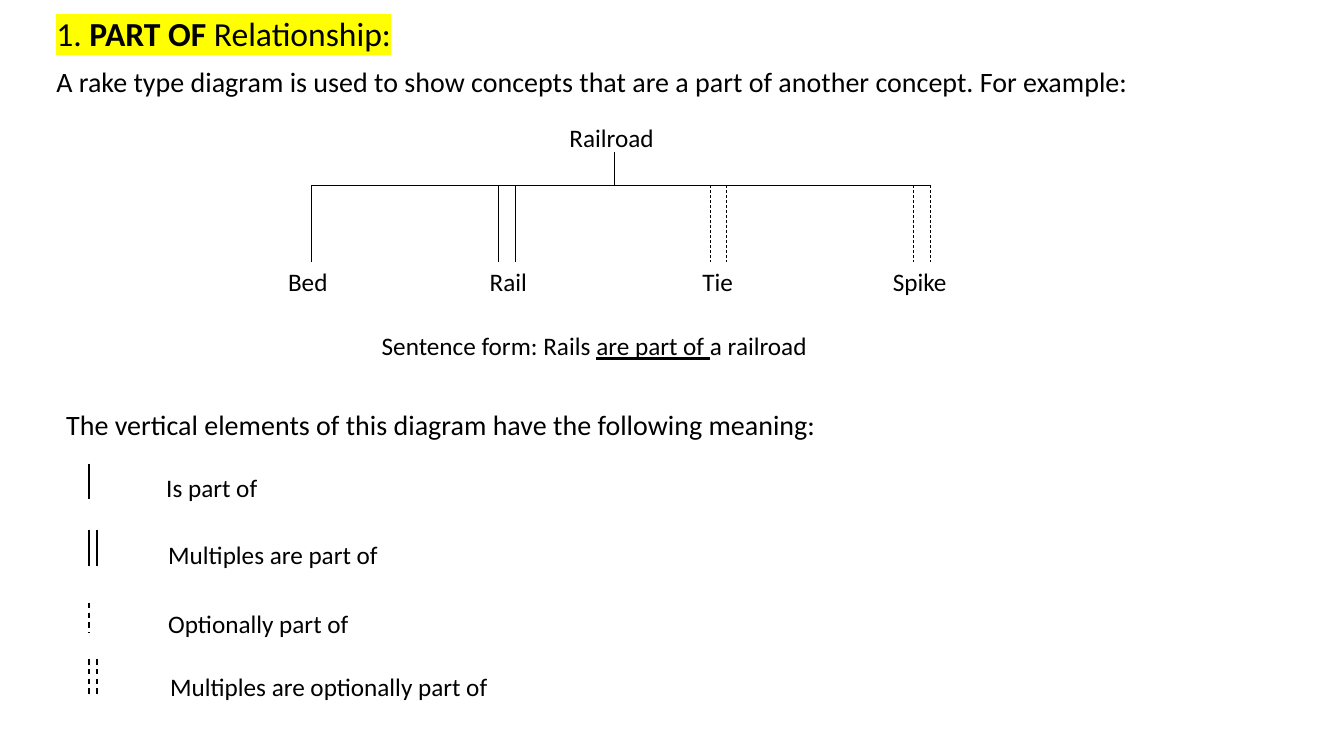
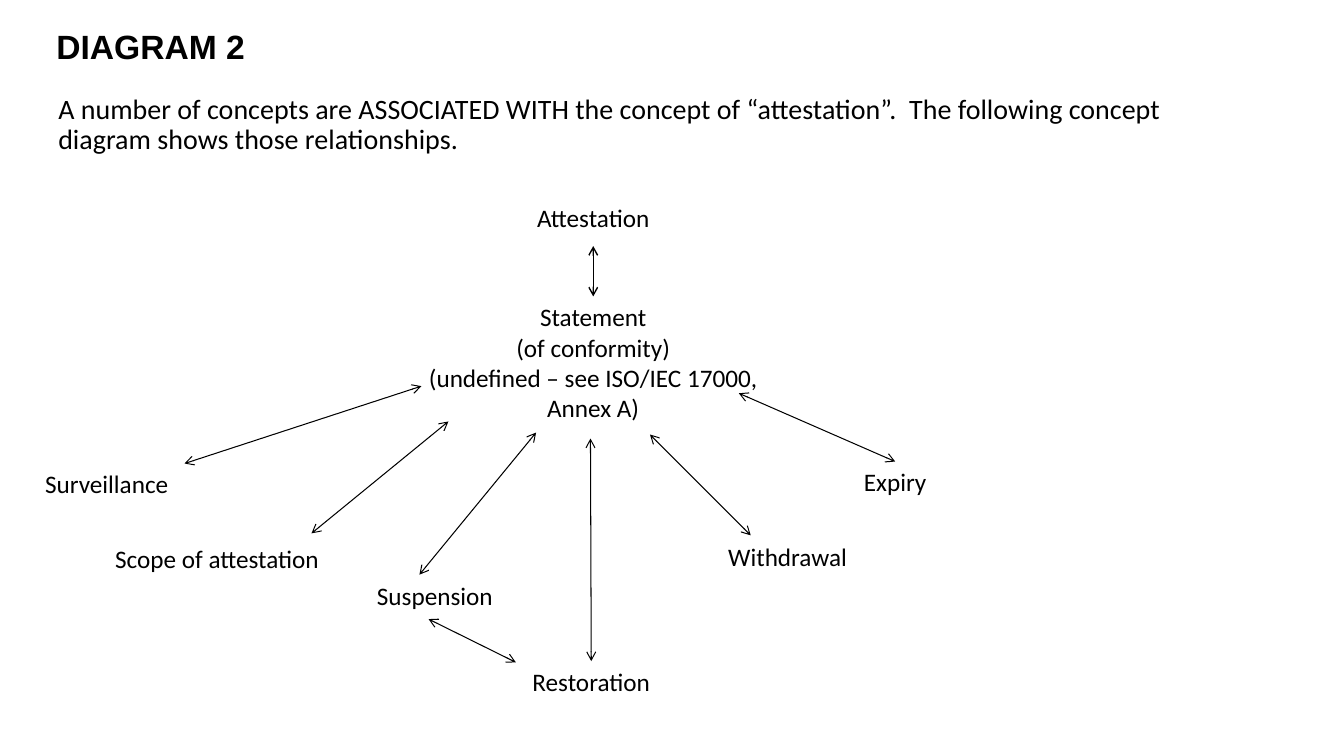
from lxml import etree
from pptx import Presentation
from pptx.dml.color import RGBColor
from pptx.enum import dml, shapes, text
from pptx.oxml.ns import qn
from pptx.util import Cm, Pt

BLACK = RGBColor(0x00, 0x00, 0x00)
YELLOW = RGBColor(0xFF, 0xFF, 0x00)
BODY_FONT = "Calibri"
HEADING_SIZE, INTRO_SIZE, LABEL_SIZE = 24, 20, 18
LABEL_HEIGHT = 1.02
LEFT, CENTER = text.PP_ALIGN.LEFT, text.PP_ALIGN.CENTER

# label, label left, tine positions, dashed
TINES = [
    ("Bed", -0.84, [0], False),
    ("Rail", 4.24, [4.7, 5.13], False),
    ("Tie", 9.6, [10.05, 10.46], True),
    ("Spike", 14.4, [15.16, 15.59], True),
]
# label, label left, label top, stroke top, stroke height, strokes, dashed
LEGEND = [
    ("Is part of", 2.52, 1.63, 1.55, 0.89, 1, False),
    ("Multiples are part of", 2.57, 3.33, 3.23, 0.89, 2, False),
    ("Optionally part of", 2.57, 5.06, 5.06, 0.76, 1, True),
    ("Multiples are optionally part of", 2.62, 6.66, 6.48, 0.94, 2, True),
]
# concept: centre, top, width
CONCEPTS = {
    "Attestation": (14.55, 0, 4.5),
    "Expiry": (22.16, 6.65, 4.5),
    "Withdrawal": (19.45, 8.53, 4.5),
    "Restoration": (14.5, 11.68, 4.5),
    "Suspension": (10.56, 9.52, 4.5),
    "Scope of attestation": (5.07, 8.58, 6),
    "Surveillance": (2.29, 6.68, 4.5),
}
STATEMENT = ["Statement", "(of conformity)", "(undefined – see ISO/IEC 17000, Annex A)"]
# start, end, concept whose top the arrow meets
SPOKES = [
    ((15.98, 5.97), (18.52, 8.51), None),
    ((13.11, 5.92), (10.17, 9.5), None),
    ((10.9, 5.64), (7.45, 8.46), None),
    ((14.48, 6.07), (14.5, 11.68), "Restoration"),
    ((4.25, 6.7), (10.22, 4.75), None),
    ((18.22, 4.93), (22.16, 6.65), "Expiry"),
    ((10.4, 10.62), (12.6, 11.71), None),
]


def write_span(para, words, size, font=BODY_FONT, bold=False, underline=False, highlight=None):
    span = para.add_run()
    span.text = words
    span.font.name, span.font.size = font, Pt(size)
    span.font.bold, span.font.underline = bold, underline
    span.font.color.rgb = BLACK
    if highlight is not None:
        mark = etree.Element(qn("a:highlight"))
        etree.SubElement(mark, qn("a:srgbClr")).set("val", str(highlight))
        span.font.fill._xPr.find(qn("a:solidFill")).addnext(mark)


def prepare_frame(box, side_inset):
    frame = box.text_frame
    frame.word_wrap = True
    frame.auto_size = text.MSO_AUTO_SIZE.NONE
    frame.vertical_anchor = text.MSO_ANCHOR.TOP
    frame.margin_left = frame.margin_right = Cm(side_inset)
    frame.margin_top = frame.margin_bottom = Cm(0.13)
    return frame


def add_text(page, left, top, width, lines, size=LABEL_SIZE, height=LABEL_HEIGHT,
             align=LEFT, side_inset=0.25, spacing=1.0):
    """Each line is a list of (words, underline) spans."""
    box = page.shapes.add_textbox(Cm(left), Cm(top), Cm(width), Cm(height))
    frame = prepare_frame(box, side_inset)
    for index, spans in enumerate(lines):
        para = frame.add_paragraph() if index else frame.paragraphs[0]
        para.alignment, para.line_spacing = align, spacing
        for words, underline in spans:
            write_span(para, words, size, underline=underline)
    return box


def add_label(page, left, top, width, words, **style):
    return add_text(page, left, top, width, [[(words, False)]], **style)


def add_intro(page, left, top, height, words):
    add_label(page, left, top, 30.02, words, size=INTRO_SIZE, height=height,
              side_inset=0, spacing=0.9)


def set_title(page, top, spans, **style):
    """Each span is (words, bold)."""
    title = page.shapes.title
    title.left, title.top, title.width, title.height = Cm(1.42), Cm(top), Cm(30), Cm(1.17)
    para = prepare_frame(title, 0).paragraphs[0]
    para.alignment, para.line_spacing = LEFT, 0.9
    for words, bold in spans:
        write_span(para, words, HEADING_SIZE, bold=bold, **style)


def add_line(page, start, end, weight=0.5, dashed=False, arrows=False):
    line = page.shapes.add_connector(
        shapes.MSO_CONNECTOR.STRAIGHT, *[Cm(length) for length in (*start, *end)])
    line.line.color.rgb = BLACK
    line.line.width = Pt(weight)
    if dashed:
        line.line.dash_style = dml.MSO_LINE.DASH
    if arrows:
        outline = line.line._get_or_add_ln()
        for tag in ("a:headEnd", "a:tailEnd"):
            etree.SubElement(outline, qn(tag)).set("type", "arrow")
    etree.SubElement(line._element.spPr, qn("a:effectLst"))
    return line


def add_rake(page, left, top):
    bar_top, tine_bottom, trunk = top + 1.72, top + 3.65, left + 7.64
    add_label(page, left + 6.25, top, 3.12, "Railroad")
    add_line(page, (trunk, top + 0.89), (trunk, bar_top))
    add_line(page, (left, bar_top), (left + 15.59, bar_top), weight=1)
    for words, label_left, tines, dashed in TINES:
        for tine in tines:
            add_line(page, (left + tine, bar_top), (left + tine, tine_bottom), dashed=dashed)
        add_label(page, left + label_left, top + 3.63, 2.4, words)
    add_text(page, left + 1.52, top + 5.25, 12.85, [[
        ("Sentence form: Rails ", False), ("are part of ", True), ("a railroad", False)]])


def add_legend(page, left, top):
    add_label(page, left, top, 22.45,
              "The vertical elements of this diagram have the following meaning:",
              size=INTRO_SIZE, height=1.12)
    for words, label_left, label_top, stroke_top, height, strokes, dashed in LEGEND:
        for index in range(strokes):
            x, y = left + 0.82 + 0.2 * index, top + stroke_top
            add_line(page, (x, y), (x, y + height), weight=1, dashed=dashed)
        add_label(page, left + label_left, top + label_top, 9, words)


def add_concept_map(page, left, top):
    boxes = {
        words: add_label(page, left + center - width / 2, top + y, width, words, align=CENTER)
        for words, (center, y, width) in CONCEPTS.items()
    }
    statement = add_text(page, left + 10.12, top + 2.49, 8.86,
                         [[(words, False)] for words in STATEMENT],
                         height=3.33, align=CENTER)
    link = add_line(page, (left + 14.55, top + 1.22), (left + 14.55, top + 2.49),
                    weight=1, arrows=True)
    link.end_connect(statement, 0)
    for start, end, target in SPOKES:
        spoke = add_line(page, (left + start[0], top + start[1]),
                         (left + end[0], top + end[1]), weight=0.75, arrows=True)
        if target:
            spoke.end_connect(boxes[target], 0)


def build_part_of(page):
    set_title(page, 0.3, [("1. ", False), ("PART OF ", True), ("Relationship:", False)],
              highlight=YELLOW)
    add_intro(page, 1.42, 1.59, 1.1,
              "A rake type diagram is used to show concepts that are a part of "
              "another concept. For example:")
    add_rake(page, 7.85, 2.95)
    add_legend(page, 1.42, 10.13)


def build_associated_with(page):
    set_title(page, 0.64, [("DIAGRAM 2", True)], font="Arial")
    add_intro(page, 1.47, 2.26, 1.8,
              "A number of concepts are ASSOCIATED WITH the concept of “attestation”.  "
              "The following concept diagram shows those relationships.")
    add_concept_map(page, 0.4, 4.98)


def main():
    deck = Presentation()
    deck.slide_width, deck.slide_height = Cm(33.87), Cm(19.05)
    title_only = deck.slide_layouts[5]
    for build in (build_part_of, build_associated_with):
        build(deck.slides.add_slide(title_only))
    deck.save("out.pptx")


if __name__ == "__main__":
    main()
